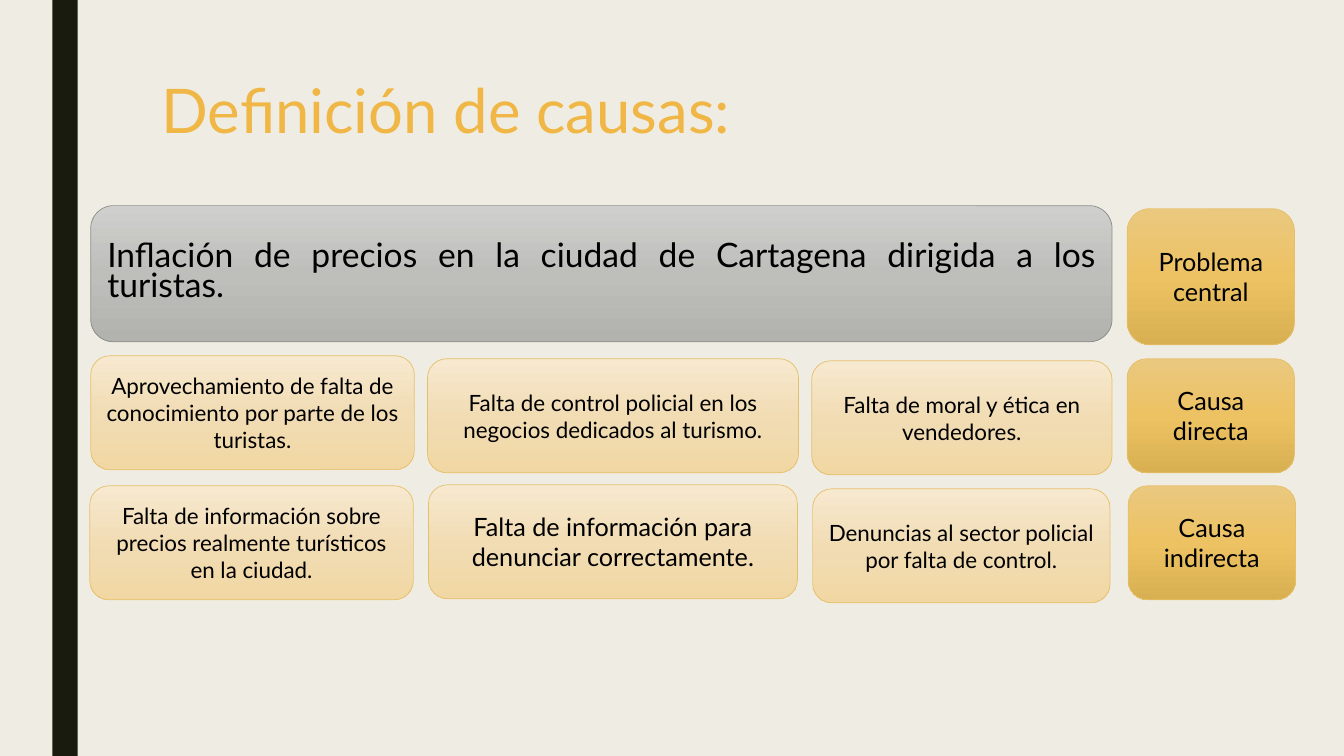
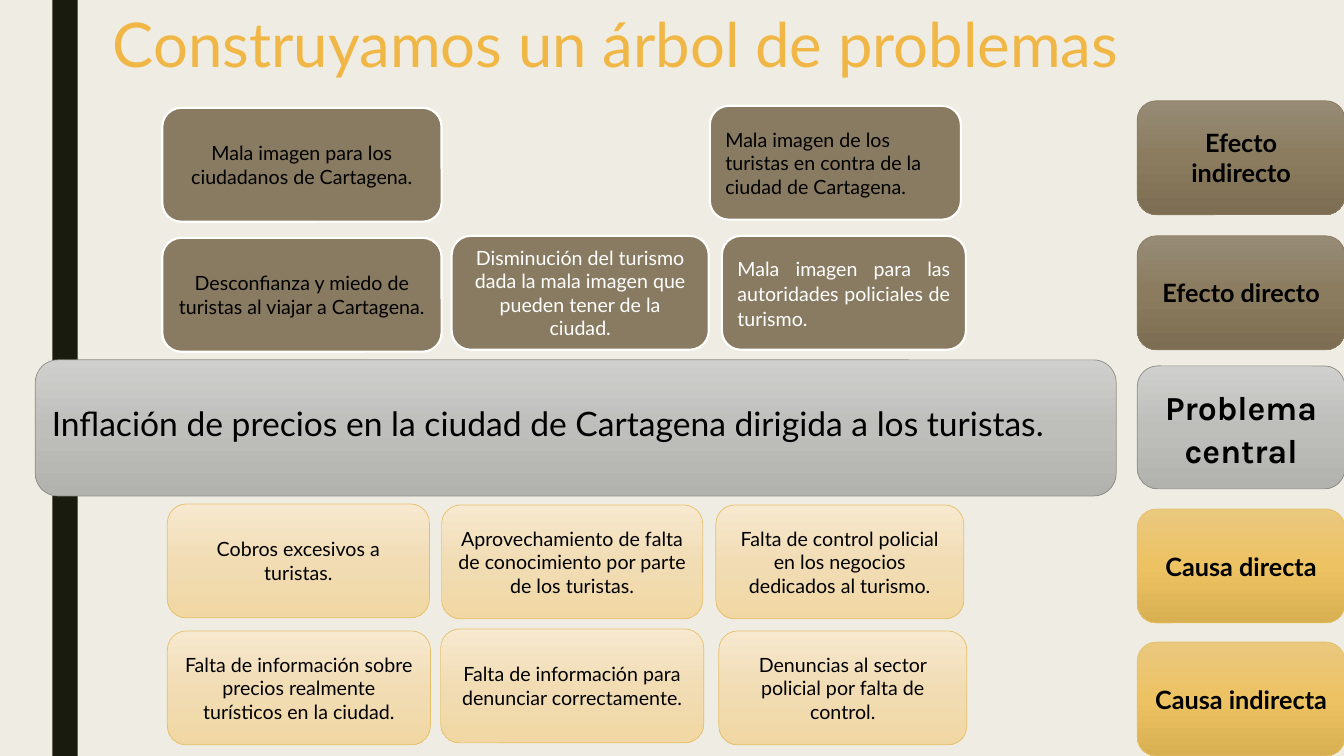
from copy import deepcopy

from pptx import Presentation
from pptx.dml.color import RGBColor
from pptx.enum.shapes import MSO_SHAPE
from pptx.enum.text import MSO_ANCHOR, MSO_AUTO_SIZE, PP_ALIGN
from pptx.util import Emu, Pt

RECT, ROUND = MSO_SHAPE.RECTANGLE, MSO_SHAPE.ROUNDED_RECTANGLE
LEFT, MID, JUST = PP_ALIGN.LEFT, PP_ALIGN.CENTER, PP_ALIGN.JUSTIFY
TOP, MIDDLE = MSO_ANCHOR.TOP, MSO_ANCHOR.MIDDLE
NONE = MSO_AUTO_SIZE.NONE

PX = 9144  # 100 px to the inch
WIDE, HIGH = 1333, 750
TITLE_ONLY = 5

# Colours
PAPER = RGBColor(0xEF, 0xED, 0xE3)
DARK = RGBColor(0x19, 0x1B, 0x0E)
AMBER = RGBColor(0xF0, 0xB7, 0x46)
BLACK = RGBColor(0, 0, 0)
WHITE = RGBColor(0xFF, 0xFF, 0xFF)
BROWN = RGBColor(0x89, 0x7B, 0x61)
GOLD = RGBColor(0xE6, 0xC0, 0x69)
GREY = RGBColor(0x8C, 0x8D, 0x86)
GREYS = (RGBColor(0xCF, 0xCF, 0xCD), RGBColor(0xBE, 0xBE, 0xBB),
         RGBColor(0xB2, 0xB3, 0xAF))
GOLDS = (RGBColor(0xEA, 0xC8, 0x7E), RGBColor(0xEC, 0xC2, 0x63),
         RGBColor(0xD9, 0xB0, 0x51))
CREAMS = (RGBColor(0xF7, 0xE9, 0xD0), RGBColor(0xF1, 0xDC, 0xB4),
          RGBColor(0xF1, 0xD7, 0xA3))
BROWNS = (RGBColor(0x97, 0x8B, 0x76), RGBColor(0x8B, 0x7C, 0x5F),
          RGBColor(0x7D, 0x6E, 0x53))

# Box looks: fill colours from top to bottom, line colour, line width
LOOKS = {
    "core": (GREYS, GREY, 0.5),
    "label": (GOLDS, GOLD, 0.5),
    "cause": (CREAMS, GOLD, 0.5),
    "effect": ((BROWN,), WHITE, 1.5),
    "result": (BROWNS, BROWN, 0.5),
}

# Text formats
CORE = dict(size=24, align=JUST, lead=0.74, before=10, after=2)
BIG = dict(size=18)
BOLD = dict(size=18, bold=True)
KARLA = dict(size=24, bold=True, font="Karla", lead=1.07, after=8)
MEDIUM = dict(size=16)
SMALL = dict(size=14)
PALE = dict(size=14, color=WHITE)

# Wording used on both slides
PROBLEM = "Inflación de precios en la ciudad de Cartagena dirigida a los turistas."
ABUSE = "Aprovechamiento de falta de conocimiento por parte de los turistas."
POLICE = "Falta de control policial en los negocios dedicados al turismo."
PRICES = "Falta de información sobre precios realmente turísticos en la ciudad."
REPORT = "Falta de información para denunciar correctamente."
CLAIMS = "Denuncias al sector policial por falta de control."

# Groups: look, height, format, then boxes of left, top, width, text
# (a box may add changes to its group's format)
SLIDES = [
    ("Definición de causas:", (150, 75), JUST, [
        ("core", 135, CORE, [(90, 204, 1013, PROBLEM)]),
        ("label", 135, BIG, [(1118, 207, 166, "Problema central")]),
        ("label", 113, BIG, [
            (1118, 356, 166, "Causa directa"),
            (1119, 482, 166, "Causa indirecta"),
        ]),
        ("cause", 113, MEDIUM, [
            (90, 353, 321, ABUSE),
            (424, 356, 368, POLICE),
            (805, 358, 298, "Falta de moral y ética en vendedores."),
            (89, 482, 321, PRICES),
            (425, 481, 366, REPORT, BIG),
            (806, 485, 295, CLAIMS),
        ]),
    ]),
    ("Construyamos un árbol de problemas", (102, 10), LEFT, [
        ("effect", 113, SMALL, [
            (161, 107, 277, "Mala imagen para los ciudadanos de Cartagena."),
            (704, 105, 249, "Mala imagen de los turistas en contra de la "
             "ciudad de Cartagena.", dict(align=LEFT)),
            (161, 236, 277,
             "Desconfianza y miedo de turistas al viajar a Cartagena."),
            (448, 234, 255, "Disminución del turismo dada la mala imagen que "
             "pueden tener de la ciudad.", PALE),
            (716, 234, 242,
             "Mala imagen para las autoridades policiales de turismo.",
             dict(PALE, align=JUST, lead=1.07, after=8)),
        ]),
        ("result", 113, BOLD, [
            (1128, 100, 206, "Efecto indirecto"),
            (1128, 234, 206, "Efecto directo"),
        ]),
        ("core", 122, KARLA, [(1128, 363, 206, "Problema central")]),
        ("label", 113, BOLD, [
            (1128, 505, 206, "Causa directa"),
            (1128, 637, 206, "Causa indirecta"),
        ]),
        ("core", 135, CORE, [(35, 357, 1072, PROBLEM)]),
        ("cause", 113, SMALL, [
            (166, 500, 260, "Cobros excesivos a turistas."),
            (438, 501, 259, ABUSE),
            (710, 501, 246, POLICE),
            (166, 626, 261, PRICES),
            (437, 624, 261, REPORT),
            (713, 626, 246, CLAIMS),
        ]),
    ]),
]


def place(shape, *area):
    shape.left, shape.top, shape.width, shape.height = (
        Emu(n * PX) for n in area)


def write(shape, text, size=14, font="Lato", color=BLACK, bold=False,
          align=MID, anchor=MIDDLE, lead=1.0, before=0, after=0):
    frame = shape.text_frame
    frame.text = text
    frame.word_wrap = True
    frame.auto_size = NONE
    frame.vertical_anchor = anchor
    para = frame.paragraphs[0]
    para.alignment = align
    para.line_spacing = lead
    para.space_before, para.space_after = Pt(before), Pt(after)
    face = para.runs[0].font
    face.name, face.size, face.bold = font, Pt(size), bold
    face.color.rgb = color


def paint(shape, tones):
    fill = shape.fill
    if len(tones) == 1:
        fill.solid()
        fill.fore_color.rgb = tones[0]
        return
    fill.gradient()
    fill.gradient_angle = 270
    # A new gradient has two stops: add one between them
    first = shape.element.xpath(".//a:gs")[0]
    first.addnext(deepcopy(first))
    for i, (stop, tone) in enumerate(zip(fill.gradient_stops, tones)):
        stop.position = i / (len(tones) - 1)
        stop.color.rgb = tone


def block(slide, kind, area, tones, edge=None, width=0):
    shape = slide.shapes.add_shape(kind, *(Emu(n * PX) for n in area))
    shape.shadow.inherit = False
    paint(shape, tones)
    if edge is None:
        shape.line.fill.background()
    else:
        shape.line.color.rgb = edge
        shape.line.width = Pt(width)
    return shape


def dress(deck, slide):
    """Give the master its background and side band."""
    master = deck.slide_master
    back = master.background.fill
    back.solid()
    back.fore_color.rgb = PAPER
    band = block(slide, RECT, (52, 0, 25, HIGH), (DARK,)).element
    band.xpath(".//p:cNvPr")[0].set("id", "99")
    master.element.cSld.spTree.insert(2, band)


def main():
    deck = Presentation()
    deck.slide_width, deck.slide_height = Emu(WIDE * PX), Emu(HIGH * PX)
    for name, spot, align, groups in SLIDES:
        slide = deck.slides.add_slide(deck.slide_layouts[TITLE_ONLY])
        title = slide.shapes.title
        place(title, *spot, 1050, 100)
        write(title, name, size=44, color=AMBER, align=align, anchor=TOP,
              lead=0.89)
        for look, high, style, boxes in groups:
            for left, top, wide, text, *extra in boxes:
                shape = block(slide, ROUND, (left, top, wide, high),
                              *LOOKS[look])
                write(shape, text, **dict(style, **(extra[0] if extra else {})))
    dress(deck, deck.slides[0])
    deck.save("out.pptx")


if __name__ == "__main__":
    main()
